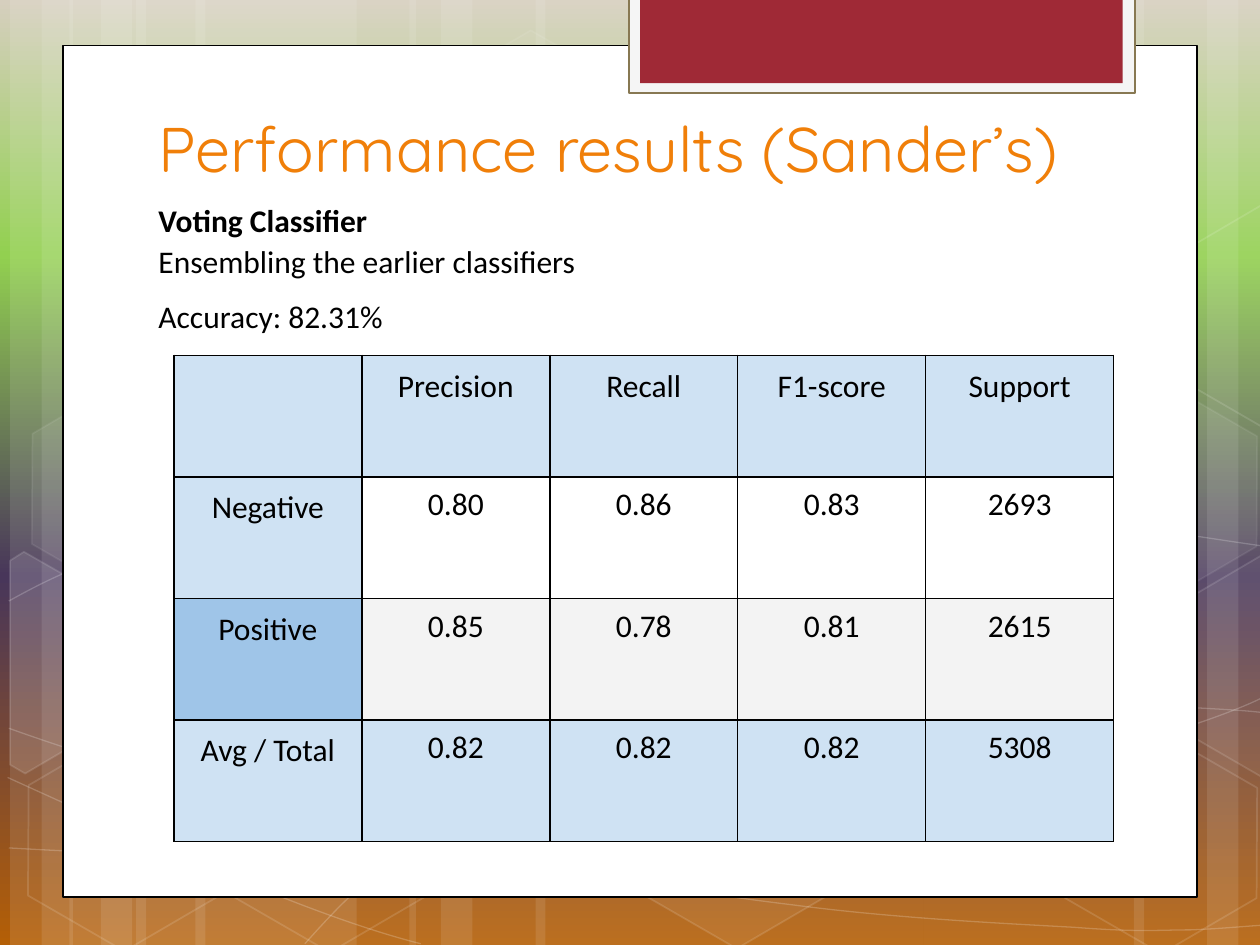
from copy import deepcopy
from dataclasses import dataclass

from lxml.etree import SubElement
from pptx import Presentation
from pptx.dml.color import RGBColor
from pptx.enum.shapes import MSO_SHAPE as Shape
from pptx.enum.text import MSO_ANCHOR as Anchor, PP_ALIGN as Align
from pptx.oxml.ns import qn
from pptx.util import Inches, Pt


@dataclass(frozen=True)
class Theme:
    white: str = "FFFFFF"
    black: str = "000000"
    orange: str = "F07F09"
    red: str = "9F2936"
    tab: str = "F5F5F5"
    tab_edge: str = "877852"
    pale_blue: str = "CFE2F3"
    mid_blue: str = "9FC5E8"
    grey: str = "F3F3F3"
    backdrop: tuple = ((0, "D6CFBE"), (0.27, "92D050"), (0.61, "48365A"), (1, "B45F06"))
    title_font: str = "Quicksand"
    body_font: str = "Calibri"
    title_size: int = 36
    body_size: int = 18


theme = Theme()


def paint(shape, fill=None, opacity=100, line=None, width=1, line_opacity=100):
    """Set fill and line of a shape; opacities are in percent."""
    shape.shadow.inherit = False
    for tag, target, color, percent in (("p:spPr", shape.fill, fill, opacity),
                                        ("a:ln", shape.line.fill, line, line_opacity)):
        if color is None:
            target.background()
            continue
        target.solid()
        target.fore_color.rgb = RGBColor.from_string(color)
        if percent < 100:
            parent = next(shape.element.iter(qn(tag)))
            color_node = parent.find(qn("a:solidFill")).find(qn("a:srgbClr"))
            SubElement(color_node, qn("a:alpha"), val=str(percent * 1000))
    if line:
        shape.line.width = Pt(width)


def add_run(paragraph, text, size=theme.body_size, font=theme.body_font, color=theme.black, bold=False):
    run = paragraph.add_run()
    run.text = text
    run.font.size = Pt(size)
    run.font.name = font
    run.font.bold = bold
    run.font.color.rgb = RGBColor.from_string(color)


presentation = Presentation()
presentation.slide_width, presentation.slide_height = Inches(10), Inches(7.5)
slide = presentation.slides.add_slide(presentation.slide_layouts[6])
shapes = slide.shapes

# Backdrop gradient, top to bottom
backdrop = slide.background.fill
backdrop.gradient()
stop_list = next(slide.element.iter(qn("a:gsLst")))
while len(stop_list) < len(theme.backdrop):
    stop_list.append(deepcopy(stop_list[0]))
for stop, (position, color) in zip(backdrop.gradient_stops, theme.backdrop):
    stop.position = position
    stop.color.rgb = RGBColor.from_string(color)
backdrop.gradient_angle = 270

# Translucent vertical stripes: left, width
stripes = [
    (1.08, 1.75), (0.08, 0.5), (0.33, 0.83), (1.55, 1.75), (0.55, 0.5), (0.8, 0.83),
    (7.33, 1.75), (9.58, 0.5), (9, 0.83), (4.25, 3.08), (3.25, 0.5), (3.5, 0.83),
]
for left, width in stripes:
    stripe = shapes.add_shape(Shape.RECTANGLE, Inches(left), 0, Inches(width), Inches(7.5))
    paint(stripe, theme.white, 10)

# Flowing lines: Bezier points, where each segment shares its end with the next
curves = [
    [(0.07, 6.73), (0.61, 6.76), (1.15, 6.79), (1.9, 6.78), (2.65, 6.77), (3.58, 6.75), (4.58, 6.65),
     (5.58, 6.55), (7, 6.36), (7.92, 6.17), (8.83, 5.98), (9.77, 5.68), (10.07, 5.51)],
    [(0.07, 4.77), (0.36, 4.61), (0.65, 4.46), (1.21, 4.31), (1.78, 4.16), (2.59, 3.94), (3.47, 3.87),
     (4.36, 3.8), (5.44, 3.79), (6.54, 3.87), (7.64, 3.95), (9.47, 4.26), (10.07, 4.34)],
    [(0.06, 6.17), (1.27, 6.72), (2.47, 7.27), (3.34, 7.49)],
    [(0.07, 5.78), (0.38, 5.89), (0.7, 6), (1.28, 6.16), (1.86, 6.31), (2.73, 6.56), (3.57, 6.73),
     (4.4, 6.9), (5.45, 7.08), (6.28, 7.18), (7.11, 7.29), (8, 7.33), (8.53, 7.36),
     (9.05, 7.4), (9.19, 7.38), (9.45, 7.38), (9.71, 7.37), (9.89, 7.35), (10.07, 7.34)],
    [(2.42, 7.49), (2.6, 7.29), (2.78, 7.09), (3.02, 6.91), (3.26, 6.73), (3.6, 6.53), (3.88, 6.39),
     (4.16, 6.25), (4.33, 6.19), (4.7, 6.09), (5.06, 5.99), (5.73, 5.85), (6.08, 5.78),
     (6.44, 5.71), (6.49, 5.71), (6.8, 5.69), (7.11, 5.66), (7.6, 5.63), (7.94, 5.62),
     (8.29, 5.61), (8.86, 5.62), (8.86, 5.62), (9.08, 5.62), (9.3, 5.62), (9.53, 5.62),
     (9.71, 5.63), (9.88, 5.64), (9.97, 5.65), (10.06, 5.66), (10.03, 5.65), (10.06, 5.66)],
]
for points in curves:
    start, *others = [tuple(map(Inches, point)) for point in points]
    builder = shapes.build_freeform(*start)
    builder.add_line_segments(others, close=False)
    flow = builder.convert_to_shape()
    outline = next(flow.element.iter(qn("a:path")))
    lines = outline.findall(qn("a:lnTo"))
    for first in range(0, len(lines), 3):
        bezier = SubElement(outline, qn("a:cubicBezTo"))
        for line in lines[first:first + 3]:
            bezier.append(line[0])
            outline.remove(line)
    paint(flow, line=theme.white, width=0.75, line_opacity=20)

# Hexagons: left, top, fill opacity (None for outline only), line opacity
hexagons = [
    (3.34, 0.36, 4, 8), (4.97, 5.89, 6, 12), (0.11, 5.91, None, 12), (0.14, 3.12, 7, 8),
    (1.74, 5.92, None, 12), (8.34, 5.93, None, 12), (8.34, 3.14, 7, 8),
]
for left, top, opacity, line_opacity in hexagons:
    hexagon = shapes.add_shape(Shape.HEXAGON, Inches(left), Inches(top), Inches(1.75), Inches(1.52))
    hexagon.adjustments[0], hexagon.adjustments[1] = 0.285, 1.155
    hexagon.rotation = 30
    paint(hexagon, theme.white if opacity else None, opacity or 100, theme.white, 1, line_opacity)

# Hexagons cut off by the slide edge: fill opacity, corners
cut_hexagons = [
    (10, [(0.08, 4.45), (0.19, 4.38), (0.96, 4.82), (0.95, 5.7), (0.2, 6.14), (0.08, 6.07)]),
    (4, [(9.26, 4.85), (10.01, 4.41), (10.09, 4.46), (10.09, 6.13), (10.02, 6.17), (9.26, 5.73)]),
    (None, [(9.26, 2.07), (10.01, 1.63), (10.1, 1.68), (10.09, 3.35), (10.02, 3.39), (9.26, 2.95)]),
]
for opacity, corners in cut_hexagons:
    start, *others = [tuple(map(Inches, corner)) for corner in corners]
    builder = shapes.build_freeform(*start)
    builder.add_line_segments(others, close=True)
    paint(builder.convert_to_shape(), theme.white if opacity else None, opacity or 100, theme.white, 1, 12)

# White panel with the red tab at its top
panels = [
    ((0.5, 0.36, 9, 6.76), theme.white, theme.black, 0.75),
    ((4.99, -0.02, 4.02, 0.76), theme.tab, theme.tab_edge, 1.25),
    ((5.08, -0.02, 3.83, 0.68), theme.red, None, 0),
]
for box, fill, line, width in panels:
    panel = shapes.add_shape(Shape.RECTANGLE, *map(Inches, box))
    paint(panel, fill, line=line, width=width)

# Title and summary
text_frames = []
for box, anchor in (((1.16, 0.32, 7.68, 1.25), Anchor.BOTTOM), ((1.16, 1.57, 3.53, 1.09), Anchor.MIDDLE)):
    frame = shapes.add_textbox(*map(Inches, box)).text_frame
    frame.word_wrap = True
    frame.vertical_anchor = anchor
    frame.margin_left = frame.margin_right = frame.margin_top = frame.margin_bottom = Inches(0.1)
    text_frames.append(frame)
title, summary = text_frames
add_run(title.paragraphs[0], "Performance results (Sander’s)", theme.title_size, theme.title_font, theme.orange)

summary_lines = [("Voting Classifier", True, 0), ("Ensembling the earlier classifiers", False, 8),
                 ("Accuracy: 82.31%", False, 8)]
for index, (text, bold, space_after) in enumerate(summary_lines):
    paragraph = summary.add_paragraph() if index else summary.paragraphs[0]
    paragraph.line_spacing = 1.08
    paragraph.space_after = Pt(space_after)
    add_run(paragraph, text, bold=bold)

# Score table: label fill, value fill, texts
score_rows = [
    (theme.pale_blue, theme.pale_blue, ["", "Precision", "Recall", "F1-score", "Support"]),
    (theme.pale_blue, None, ["Negative", "0.80", "0.86", "0.83", "2693"]),
    (theme.mid_blue, theme.grey, ["Positive", "0.85", "0.78", "0.81", "2615"]),
    (theme.pale_blue, theme.pale_blue, ["Avg / Total", "0.82", "0.82", "0.82", "5308"]),
]
# Columns and rows share the table's width and height equally
table = shapes.add_table(4, 5, Inches(1.38), Inches(2.82), Inches(7.46), Inches(3.86)).table
table.first_row = table.horz_banding = False
for row_index, (label_fill, value_fill, texts) in enumerate(score_rows):
    for column_index, text in enumerate(texts):
        cell = table.cell(row_index, column_index)
        cell.margin_left = cell.margin_right = cell.margin_top = cell.margin_bottom = Inches(0.07)
        properties = cell._tc.get_or_add_tcPr()
        for side in ("a:lnL", "a:lnR", "a:lnT", "a:lnB"):
            border = SubElement(properties, qn(side), w=str(Pt(1)))
            SubElement(SubElement(border, qn("a:solidFill")), qn("a:srgbClr"), val=theme.black)
        fill = value_fill if column_index else label_fill
        if fill:
            cell.fill.solid()
            cell.fill.fore_color.rgb = RGBColor.from_string(fill)
        else:
            cell.fill.background()
        paragraph = cell.text_frame.paragraphs[0]
        paragraph.alignment = Align.CENTER
        if row_index == 0 or column_index == 0:
            paragraph.line_spacing = 1.08
            paragraph.space_after = Pt(8)
        if text:
            add_run(paragraph, text)

presentation.save("out.pptx")
